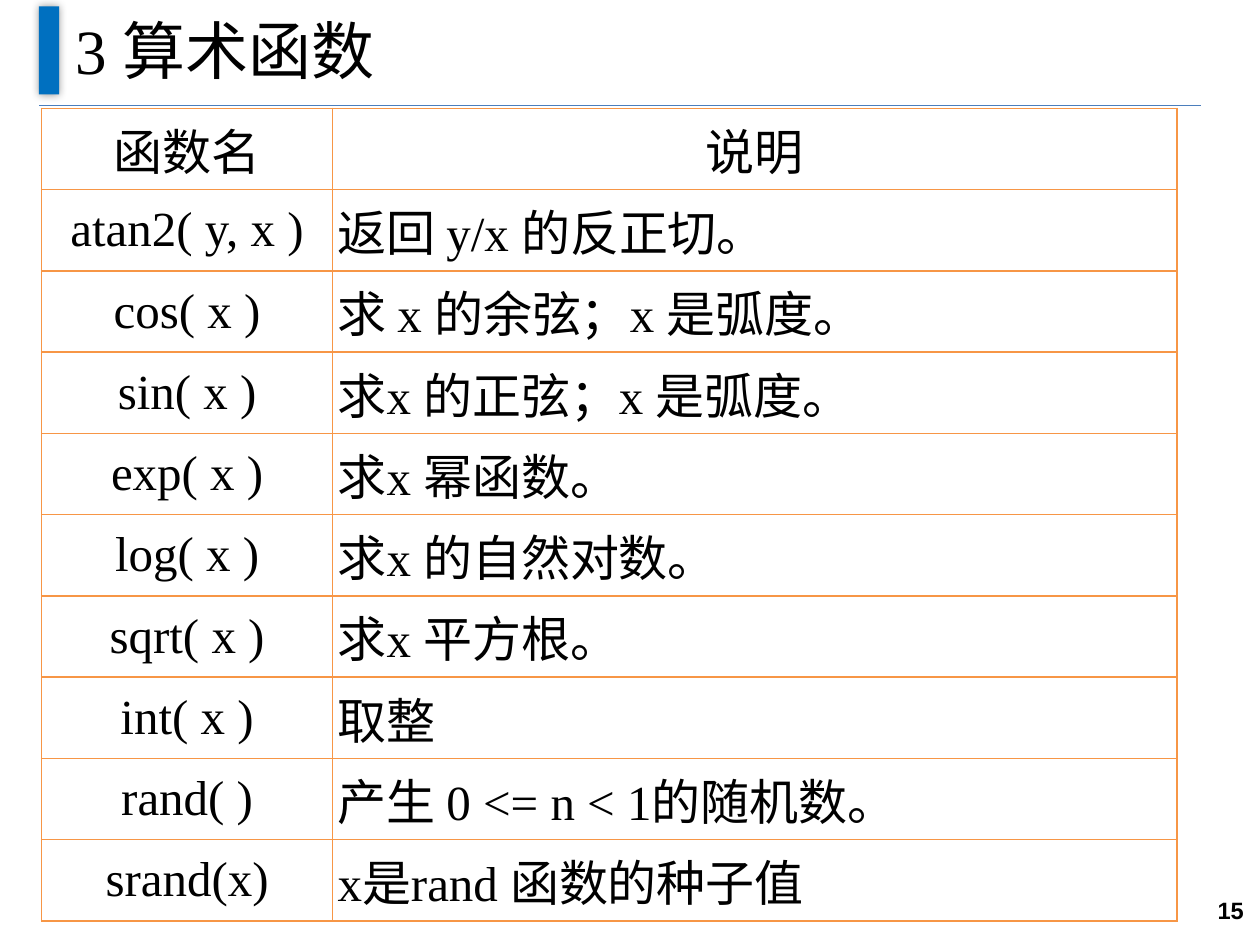
"""Build the slide that lists arithmetic functions in a table."""
from lxml import etree
from pptx import Presentation
from pptx.dml.color import RGBColor
from pptx.enum.shapes import MSO_CONNECTOR, MSO_SHAPE
from pptx.enum.text import MSO_ANCHOR, PP_ALIGN
from pptx.oxml import parse_xml
from pptx.oxml.ns import nsdecls, qn
from pptx.util import Inches, Pt

LEFT, CENTER, RIGHT = PP_ALIGN.LEFT, PP_ALIGN.CENTER, PP_ALIGN.RIGHT
MIDDLE = MSO_ANCHOR.MIDDLE
RECTANGLE = MSO_SHAPE.RECTANGLE
STRAIGHT = MSO_CONNECTOR.STRAIGHT

TITLE = "3 算术函数"
PAGE_NUMBER = "15"
HEADER = ("函数名", "说明")
FUNCTIONS = [
    ("atan2( y, x )", "返回 y/x 的反正切。"),
    ("cos( x )", "求 x 的余弦；x 是弧度。"),
    ("sin( x )", "求x 的正弦；x 是弧度。"),
    ("exp( x )", "求x 幂函数。"),
    ("log( x )", "求x 的自然对数。"),
    ("sqrt( x )", "求x 平方根。"),
    ("int( x )", "取整"),
    ("rand( )", "产生 0 <= n < 1的随机数。"),
    ("srand(x)", "x是rand 函数的种子值"),
]
COLUMN_WIDTHS = (2.31, 6.7)
TABLE_HEIGHT = 6.45

THEME = {
    "text": "000000",
    "paper": "FFFFFF",
    "bar": "0070C0",
    "rule": "4B7EBC",
    "border": "F79646",
    "serif": "Times New Roman",
    "sans": "Arial",
    "title_size": 36,
    "cell_size": 28,
    "page_size": 13.5,
}


def color(name):
    return RGBColor.from_string(THEME[name])


def write(frame, text, font, size, alignment, bold=False):
    paragraph = frame.paragraphs[0]
    paragraph.alignment = alignment
    run = paragraph.add_run()
    run.text = text
    run.font.name = THEME[font]
    run.font.size = Pt(THEME[size])
    run.font.bold = bold
    run.font.color.rgb = color("text")


def add_rule_and_bar(slide):
    rule = slide.shapes.add_connector(
        STRAIGHT, Inches(0.31), Inches(0.84), Inches(9.53), Inches(0.84))
    rule.line.color.rgb = color("rule")
    rule.line.width = Pt(0.75)
    etree.SubElement(rule._element.spPr, qn("a:effectLst"))

    bar = slide.shapes.add_shape(
        RECTANGLE, Inches(0.31), Inches(0.05), Inches(0.16), Inches(0.7))
    bar.fill.solid()
    bar.fill.fore_color.rgb = color("bar")
    bar.line.fill.background()
    bar._element.spPr.append(parse_xml(
        f'<a:effectLst {nsdecls("a")}><a:outerShdw blurRad="{Pt(5)}" dist="0" dir="0">'
        f'<a:srgbClr val="{THEME["text"]}"><a:alpha val="40000"/></a:srgbClr>'
        '</a:outerShdw></a:effectLst>'))


def add_title(slide):
    title = slide.shapes.title
    title.left, title.top = Inches(0.5), Inches(-0.03)
    title.width, title.height = Inches(9), Inches(0.84)
    title.text_frame.vertical_anchor = MIDDLE
    write(title.text_frame, TITLE, "serif", "title_size", LEFT)


def add_page_number(slide):
    box = slide.shapes.add_textbox(
        Inches(9.04), Inches(6.95), Inches(0.93), Inches(0.55))
    box.text_frame.word_wrap = True
    box.text_frame.vertical_anchor = MIDDLE
    write(box.text_frame, PAGE_NUMBER, "sans", "page_size", RIGHT, bold=True)


def style_cell(cell):
    cell.margin_left = cell.margin_right = Inches(0.04)
    cell.margin_top = cell.margin_bottom = Inches(0.04)
    cell.vertical_anchor = MIDDLE
    properties = cell._tc.get_or_add_tcPr()
    for side in ("lnL", "lnR", "lnT", "lnB"):
        properties.append(parse_xml(
            f'<a:{side} {nsdecls("a")} w="{Pt(1)}"><a:solidFill>'
            f'<a:srgbClr val="{THEME["border"]}"/></a:solidFill></a:{side}>'))
    cell.fill.solid()
    cell.fill.fore_color.rgb = color("paper")


def add_function_table(slide):
    rows = [HEADER, *FUNCTIONS]
    table = slide.shapes.add_table(
        len(rows), len(HEADER), Inches(0.33), Inches(0.86),
        Inches(sum(COLUMN_WIDTHS)), Inches(TABLE_HEIGHT)).table
    for column, width in zip(table.columns, COLUMN_WIDTHS):
        column.width = Inches(width)
    for row_index, row in enumerate(rows):
        for column_index, text in enumerate(row):
            cell = table.cell(row_index, column_index)
            style_cell(cell)
            centered = row_index == 0 or column_index == 0
            write(cell.text_frame, text, "serif", "cell_size",
                  CENTER if centered else LEFT)


def main():
    presentation = Presentation()
    presentation.slide_width, presentation.slide_height = Inches(10), Inches(7.5)
    slide = presentation.slides.add_slide(presentation.slide_layouts[5])
    add_rule_and_bar(slide)
    add_title(slide)
    add_page_number(slide)
    add_function_table(slide)
    presentation.save("out.pptx")


if __name__ == "__main__":
    main()
